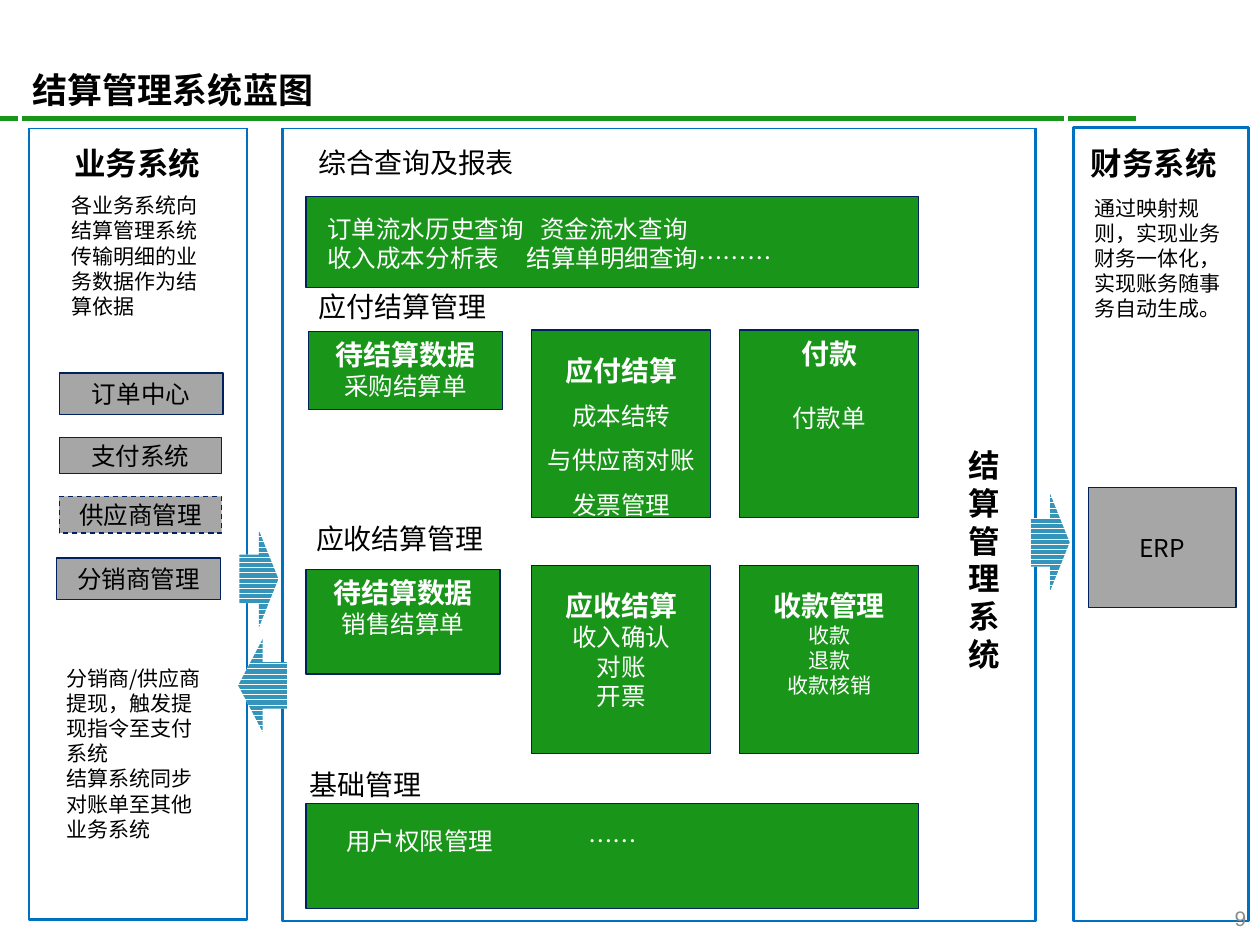
from dataclasses import dataclass

from lxml.etree import SubElement
from pptx import Presentation
from pptx.dml.color import RGBColor
from pptx.enum.dml import MSO_LINE, MSO_PATTERN
from pptx.enum.shapes import MSO_CONNECTOR, MSO_SHAPE
from pptx.enum.text import MSO_ANCHOR, PP_ALIGN
from pptx.oxml.ns import qn
from pptx.util import Inches, Pt

GREEN = RGBColor(0x19, 0x95, 0x19)
BLUE = RGBColor(0x00, 0x70, 0xC0)
NAVY = RGBColor(0x00, 0x20, 0x60)
TEAL = RGBColor(0x34, 0x94, 0xBA)
GRAY = RGBColor(0xA6, 0xA6, 0xA6)
PALE = RGBColor(0x8C, 0x8C, 0x8C)
WHITE = RGBColor(0xFF, 0xFF, 0xFF)
BLACK = RGBColor(0, 0, 0)
FONT = "Noto Sans CJK SC"

Area = tuple[float, float, float, float]


@dataclass
class Line:
    text: str
    size: float = 14
    bold: bool = False
    color: RGBColor = BLACK
    align: PP_ALIGN = PP_ALIGN.LEFT
    space: float | None = None
    before: float = 0
    tab: float = 0
    font: str = FONT


@dataclass
class Card:
    area: Area
    head: str
    items: list[str]
    size: float = 14
    space: float | None = None
    loose: bool = False  # the wide spacing also applies to the items
    gap: float = 0


def write(frame, lines: list[Line]) -> None:
    for i, line in enumerate(lines):
        para = frame.paragraphs[0] if i == 0 else frame.add_paragraph()
        para.alignment = line.align
        props = para._p.get_or_add_pPr()
        props.set("hangingPunct", "0")
        if line.space:
            para.line_spacing = line.space
        if line.before:
            para.space_before = Pt(line.before)
        if line.tab:
            tabs = SubElement(props, qn("a:tabLst"))
            SubElement(tabs, qn("a:tab"), pos=str(Inches(line.tab)), algn="l")
        run = para.add_run()
        run.text = line.text
        font = run.font
        font.name, font.size, font.bold = line.font, Pt(line.size), line.bold
        font.color.rgb = line.color
        SubElement(run._r.get_or_add_rPr(), qn("a:ea"), typeface=line.font)


def place(shape, area: Area) -> None:
    shape.left, shape.top, shape.width, shape.height = map(Inches, area)


def add_text(slide, area: Area, lines: list[Line]) -> None:
    frame = slide.shapes.add_textbox(*map(Inches, area)).text_frame
    frame.word_wrap = True
    write(frame, lines)


def add_box(slide, area: Area, fill: RGBColor, edge: RGBColor = NAVY,
            width: float = 0.75):
    box = slide.shapes.add_shape(MSO_SHAPE.RECTANGLE, *map(Inches, area))
    box.shadow.inherit = False
    box.fill.solid()
    box.fill.fore_color.rgb = fill
    box.line.color.rgb = edge
    box.line.width = Pt(width)
    box.text_frame.word_wrap = False
    return box


def add_card(slide, card: Card) -> None:
    frame = add_box(slide, card.area, GREEN).text_frame
    frame.vertical_anchor = MSO_ANCHOR.TOP
    head = Line(card.head, 16, True, WHITE, PP_ALIGN.CENTER, card.space)
    space = card.space if card.loose else None
    items = [Line(item, card.size, False, WHITE, PP_ALIGN.CENTER, space, card.gap)
             for item in card.items]
    write(frame, [head, *items])


def add_node(slide, area: Area, name: str, dash: bool = False) -> None:
    box = add_box(slide, area, GRAY)
    if dash:
        box.line.dash_style = MSO_LINE.DASH
    box.text_frame.vertical_anchor = MSO_ANCHOR.MIDDLE
    write(box.text_frame, [Line(name, align=PP_ALIGN.CENTER)])


def add_arrow(slide, kind: MSO_SHAPE, area: Area) -> None:
    arrow = slide.shapes.add_shape(kind, *map(Inches, area))
    arrow.shadow.inherit = False
    arrow.fill.patterned()
    arrow.fill.pattern = MSO_PATTERN.DARK_HORIZONTAL
    arrow.fill.fore_color.rgb = TEAL
    arrow.fill.back_color.rgb = WHITE
    arrow.line.fill.background()


def add_rule(slide) -> None:
    y = Inches(0.94)
    rule = slide.shapes.add_connector(MSO_CONNECTOR.STRAIGHT, 0, y, Inches(9.02), y)
    rule.line.color.rgb = GREEN
    rule.line.width = Pt(3)
    SubElement(rule._element.spPr, qn("a:effectLst"))


def add_title(slide, text: str) -> None:
    """Fill the title and raise it, so its white edge cuts the green rule."""
    title = slide.shapes.title
    place(title, (0.16, 0.42, 8.3, 0.58))
    title.line.color.rgb = WHITE
    title.line.width = Pt(2)
    title.text_frame.vertical_anchor = MSO_ANCHOR.MIDDLE
    write(title.text_frame, [Line(text, 20, True)])
    slide.shapes._spTree.append(title._element)


PANELS = [(8.52, 1.01, 1.39, 6.3), (0.23, 1.01, 1.73, 6.29), (2.24, 1.01, 5.98, 6.3)]
BANDS = [(2.43, 1.56, 4.86, 0.72), (2.43, 6.38, 4.86, 0.83)]
MID, RIGHT, WIDE, TALL = 4.22, 5.87, 1.42, 1.49
PAY, COLLECT = 2.62, 4.49
CARDS = [
    Card((2.45, 2.63, 1.54, 0.62), "待结算数据", ["采购结算单"]),
    Card((MID, PAY, WIDE, TALL), "应付结算",
         ["成本结转", "与供应商对账", "发票管理"], space=1.5, loose=True),
    Card((RIGHT, PAY, WIDE, TALL), "付款", ["付款单"], gap=19),
    Card((2.43, 4.52, 1.54, 0.83), "待结算数据", ["销售结算单"]),
    Card((MID, COLLECT, WIDE, TALL), "应收结算", ["收入确认", "对账", "开票"], space=1.5),
    Card((RIGHT, COLLECT, WIDE, TALL), "收款管理", ["收款", "退款", "收款核销"],
         size=12, space=1.5),
]
NODES = [
    ((0.47, 2.96, 1.3, 0.33), "订单中心", False),
    ((0.47, 3.47, 1.29, 0.29), "支付系统", False),
    ((0.47, 3.94, 1.29, 0.29), "供应商管理", True),
    ((0.45, 4.43, 1.3, 0.33), "分销商管理", False),
    ((8.64, 3.87, 1.17, 0.95), "ERP", False),
]
LABELS = [(2.43, 1.11, "综合查询及报表"), (2.43, 2.25, "应付结算管理"),
          (2.41, 4.09, "应收结算管理"), (2.36, 6.04, "基础管理")]
HEADS = [((0.49, 1.09, 1.3, 0.4), "业务系统"), ((8.56, 1.09, 1.3, 0.4), "财务系统"),
         ((7.59, 3.49, 0.54, 1.92), "结算管理系统")]
NOTES = [
    ((0.47, 1.48, 1.32, 1.51), ["各业务系统向结算管理系统传输明细的业务数据作为结算依据"]),
    ((8.59, 1.5, 1.32, 1.11), ["通过映射规则，实现业务财务一体化，实现账务随事务自动生成。"]),
    ((0.43, 5.23, 1.32, 1.92), ["分销商/供应商提现，触发提现指令至支付系统",
                                "结算系统同步对账单至其他业务系统"]),
]
LISTS = [
    ((2.5, 1.65, 4.72, 0.57), [("订单流水历史查询\t资金流水查询", 1.69),
                               ("收入成本分析表\t结算单明细查询………", 1.58)]),
    ((2.65, 6.51, 4.46, 0.34), [("用户权限管理\t……", 1.92)]),
]
ARROWS = [(MSO_SHAPE.RIGHT_ARROW, (1.9, 4.21, 0.31, 0.77)),
          (MSO_SHAPE.RIGHT_ARROW, (8.18, 3.92, 0.31, 0.77)),
          (MSO_SHAPE.LEFT_ARROW, (1.89, 5.07, 0.39, 0.74))]


def main() -> None:
    deck = Presentation()
    deck.slide_width, deck.slide_height = Inches(10), Inches(7.5)
    slide = deck.slides.add_slide(deck.slide_layouts[5])
    add_rule(slide)
    for area in PANELS:
        add_box(slide, area, WHITE, BLUE, 1.5)
    add_title(slide, "结算管理系统蓝图")
    add_text(slide, (9.43, 7.14, 0.56, 0.34),
             [Line("9", 12, color=PALE, align=PP_ALIGN.RIGHT, font="Arial")])
    for area in BANDS:
        add_box(slide, area, GREEN)
    for card in CARDS:
        add_card(slide, card)
    for area, name, dash in NODES:
        add_node(slide, area, name, dash)
    for x, y, text in LABELS:
        add_text(slide, (x, y, 1.78, 0.37), [Line(text, 16)])
    for area, text in HEADS:
        add_text(slide, area, [Line(text, 18, True)])
    for area, rows in LISTS:
        add_text(slide, area, [Line(text, color=WHITE, tab=tab) for text, tab in rows])
    for kind, area in ARROWS:
        add_arrow(slide, kind, area)
    for area, rows in NOTES:
        add_text(slide, area, [Line(text, 12) for text in rows])
    deck.save("out.pptx")


if __name__ == "__main__":
    main()
